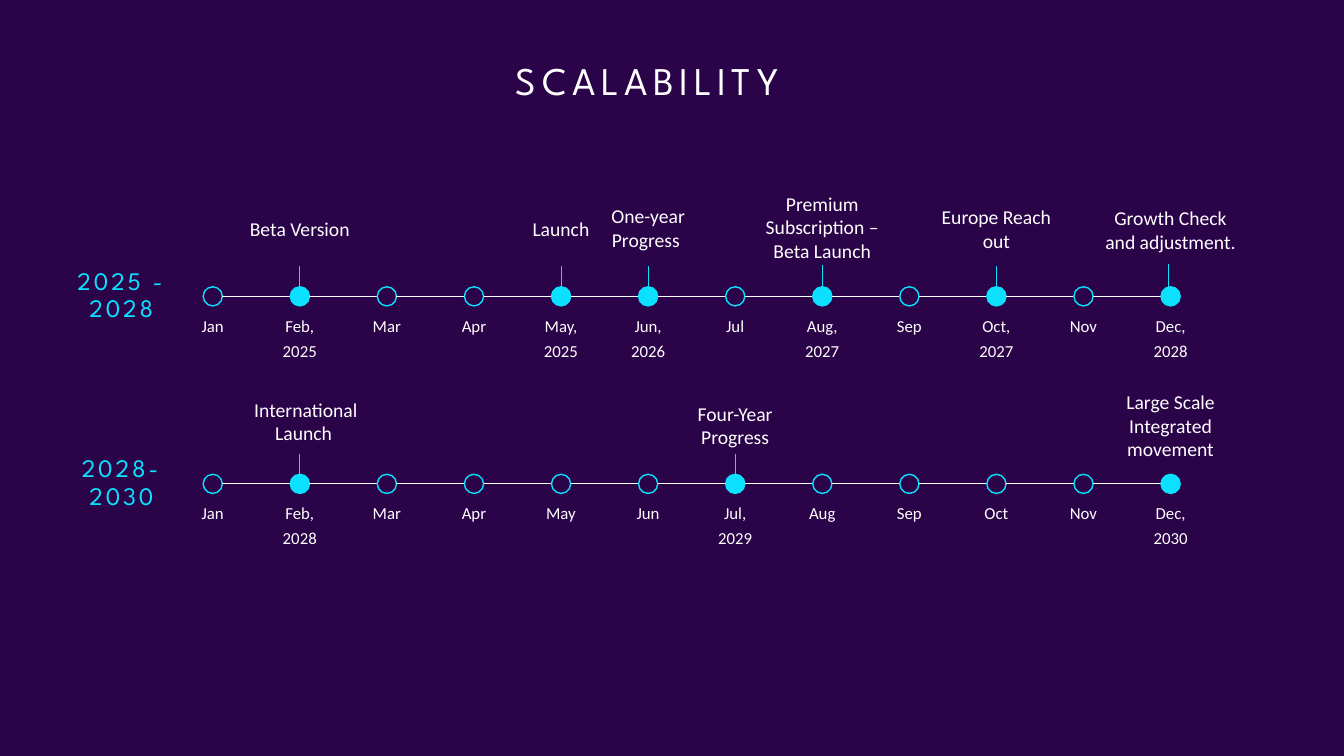
"""Builds the scalability slide: two monthly timelines with milestones."""
import lxml.etree
import pptx
import pptx.dml.color
import pptx.enum.shapes
import pptx.enum.text
import pptx.oxml.ns
import pptx.util

Inches = pptx.util.Inches
Pt = pptx.util.Pt
ANCHOR = pptx.enum.text.MSO_ANCHOR

TITLE = "SCALABILITY "
MONTHS = ["Jan", "Feb", "Mar", "Apr", "May", "Jun", "Jul", "Aug", "Sep", "Oct", "Nov", "Dec"]
# Milestone: year, label, label top, label shift, stem rise and drop, stem shift
TIMELINES = [
    {"period": "2025 - 2028", "axis": 2.94, "milestones": {
        "Feb": ("2025", "Beta Version", 1.95, 0, (0.3, 0.07), 0),
        "May": ("2025", "Launch", 1.95, 0, (0.3, 0.07), 0),
        "Jun": ("2026", "One-year Progress ", 1.94, 0, (0.3, 0), 0),
        "Aug": ("2027", "Premium Subscription – Beta Launch", 1.93, 0, (0.31, 0), 0),
        "Oct": ("2027", "Europe Reach out", 1.95, 0, (0.3, 0.07), 0),
        "Dec": ("2028", "Growth Check and adjustment.", 1.96, 0, (0.32, 0.06), -0.02),
    }},
    {"period": "2028-2030", "axis": 4.8, "milestones": {
        "Feb": ("2028", "International Launch ", 3.86, 0.06, (0.3, 0.08), 0),
        "Jul": ("2029", "Four-Year Progress", 3.9, 0, (0.3, 0.08), 0),
        "Dec": ("2030", "Large Scale Integrated movement", 3.9, 0, None, 0),
    }},
]
THEME = {
    "background": "2B0348", "text": "FFFFFF", "accent": "0BE1FF",
    "heading": "League Spartan", "body": "Calibri",
    "title": 28, "period": 18, "label": 14, "month": 12,
    "axis_line": 0.5, "ring": 1,
}
FIRST_X, LAST_X, DOT = 2.11, 11.61, 0.19
PITCH = (LAST_X - FIRST_X) / (len(MONTHS) - 1)


def color(name):
    return pptx.dml.color.RGBColor.from_string(THEME[name])


def write(box, words, size, face="body", ink="text", spacing=0, leading=1.0, anchor=ANCHOR.TOP):
    frame = box.text_frame
    frame.word_wrap = True
    frame.auto_size = pptx.enum.text.MSO_AUTO_SIZE.NONE
    frame.vertical_anchor = anchor
    para = frame.paragraphs[0]
    para.alignment = pptx.enum.text.PP_ALIGN.CENTER
    para.line_spacing = leading
    para.space_before = Pt(0)
    span = para.add_run()
    span.text = words
    span.font.name = THEME[face]
    span.font.size = Pt(THEME[size])
    span.font.color.rgb = color(ink)
    if spacing:
        span.font._element.set("spc", str(spacing * 100))
    return frame


def add_box(page, left, top, width, height):
    return page.shapes.add_textbox(Inches(left), Inches(top), Inches(width), Inches(height))


def add_line(page, start, end, ink):
    line = page.shapes.add_connector(
        pptx.enum.shapes.MSO_CONNECTOR.STRAIGHT, *map(Inches, start + end))
    line.line.color.rgb = color(ink)
    line.line.width = Pt(THEME["axis_line"])
    lxml.etree.SubElement(line._element.spPr, pptx.oxml.ns.qn("a:effectLst"))


def add_dot(page, x, y, filled):
    dot = page.shapes.add_shape(
        pptx.enum.shapes.MSO_SHAPE.OVAL,
        Inches(x - DOT / 2), Inches(y - DOT / 2), Inches(DOT), Inches(DOT))
    dot.shadow.inherit = False
    if filled:
        dot.fill.solid()
        dot.fill.fore_color.rgb = color("accent")
    else:
        dot.fill.background()
    dot.line.color.rgb = color("accent")
    dot.line.width = Pt(THEME["ring"])


def add_milestone(page, x, y, milestone):
    year, label, top, label_shift, stem, stem_shift = milestone
    write(add_box(page, x - 0.785 + label_shift, top, 1.57, 0.64),
          label, "label", anchor=ANCHOR.MIDDLE)
    if stem:
        rise, drop = stem
        add_line(page, (x + stem_shift, y - rise), (x + stem_shift, y + drop), "accent")


def add_timeline(page, timeline):
    y = timeline["axis"]
    write(add_box(page, 0.55, y - 0.28, 1.31, 0.55), timeline["period"], "period",
          "heading", "accent", spacing=2, leading=0.9, anchor=ANCHOR.MIDDLE)
    for index, month in enumerate(MONTHS):
        x = FIRST_X + index * PITCH
        milestone = timeline["milestones"].get(month)
        if index:
            add_line(page, (x - PITCH + DOT / 2, y), (x - DOT / 2, y), "text")
        add_dot(page, x, y, bool(milestone))
        caption = f"{month}, {milestone[0]}" if milestone else month
        frame = write(add_box(page, x - 0.27, y + 0.09, 0.54, 0.99), caption, "month", leading=1.25)
        frame.margin_left = frame.margin_right = 0
        if milestone:
            add_milestone(page, x, y, milestone)


def main():
    deck = pptx.Presentation()
    deck.slide_width, deck.slide_height = Inches(13.33), Inches(7.5)
    page = deck.slides.add_slide(deck.slide_layouts[5])
    page.background.fill.solid()
    page.background.fill.fore_color.rgb = color("background")
    title = page.shapes.title
    title.left, title.top, title.width, title.height = map(Inches, (0.75, 0.56, 11.5, 0.8))
    write(title, TITLE, "title", "heading", spacing=4, leading=0.9)
    for timeline in TIMELINES:
        add_timeline(page, timeline)
    deck.save("out.pptx")


if __name__ == "__main__":
    main()
